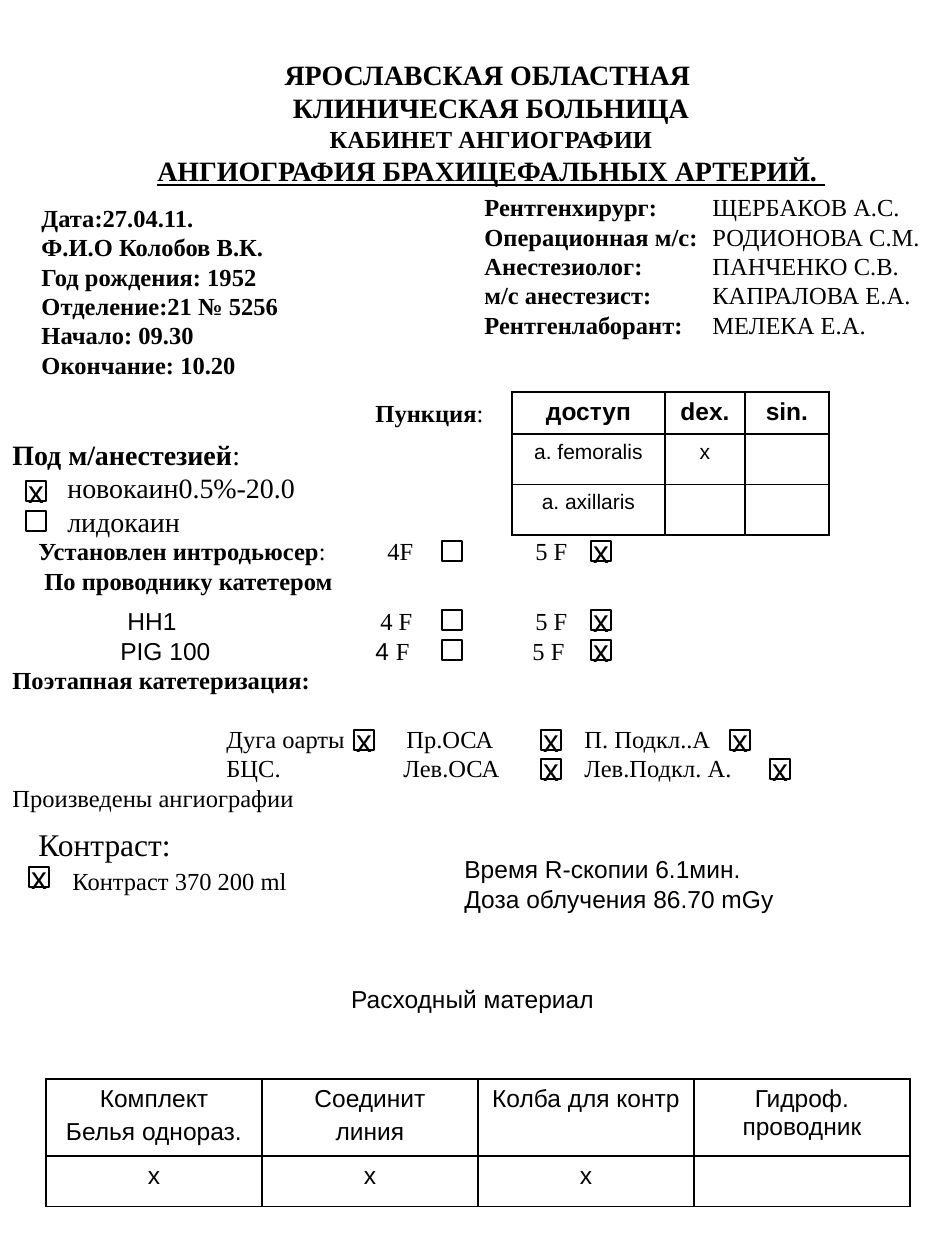
from lxml import etree
from pptx import Presentation
from pptx.dml.color import RGBColor
from pptx.enum.shapes import MSO_SHAPE
from pptx.enum.text import MSO_ANCHOR, MSO_AUTO_SIZE, PP_ALIGN
from pptx.oxml.ns import qn
from pptx.util import Emu, Pt

RECT = MSO_SHAPE.RECTANGLE
TOP, MIDDLE = MSO_ANCHOR.TOP, MSO_ANCHOR.MIDDLE
LEFT, CENTER = PP_ALIGN.LEFT, PP_ALIGN.CENTER
NO_FIT = MSO_AUTO_SIZE.NONE
SCALE = 914400 / 126
SERIF, SANS = "Times New Roman", "Arial"
COLORS = {"ink": "000000"}
BOX_SIDE = 20


def px(n):
    return Emu(round(n * SCALE))


def ink():
    return RGBColor.from_string(COLORS["ink"])


def format_run(r, size, font, bold=False, underline=False):
    r.font.size = Pt(size)
    r.font.name = font
    r.font.bold = bold
    r.font.underline = underline
    r.font.color.rgb = ink()


def set_layout(p, indent=0, tabs=(), before=0):
    pPr = p._p.get_or_add_pPr()
    if indent:
        pPr.set("marL", str(px(indent)))
        pPr.set("indent", "0")
    if before:
        p.space_before = Pt(before)
    if tabs:
        tab_list = etree.SubElement(pPr, qn("a:tabLst"))
        for x in tabs:
            etree.SubElement(tab_list, qn("a:tab"), pos=str(px(x)), algn="l")


def write_lines(tf, lines, size=14, font=SERIF, bold=False, align=LEFT):
    for i, (runs, layout) in enumerate(lines):
        p = tf.paragraphs[0] if i == 0 else tf.add_paragraph()
        set_layout(p, **layout)
        p.alignment = align
        for text, style in runs:
            r = p.add_run()
            r.text = text
            format_run(r, **{"size": size, "font": font, "bold": bold, **style})


def line(*runs, **layout):
    pairs = [(run, {}) if isinstance(run, str) else run for run in runs]
    return pairs, layout


def add_text(s, box, lines, anchor=TOP, wrap=True, **style):
    tf = s.shapes.add_textbox(*map(px, box)).text_frame
    tf.word_wrap = wrap
    tf.vertical_anchor = anchor
    write_lines(tf, lines, **style)


def add_title(s, box, lines):
    sp = s.shapes.title
    sp.left, sp.top, sp.width, sp.height = map(px, box)
    tf = sp.text_frame
    tf.auto_size = NO_FIT
    tf.word_wrap = False
    tf.vertical_anchor = TOP
    write_lines(tf, lines, size=16, bold=True, align=CENTER)


def add_checkbox(s, x, y, checked):
    sp = s.shapes.add_shape(RECT, px(x), px(y), px(BOX_SIDE), px(BOX_SIDE))
    sp.shadow.inherit = False
    sp.fill.background()
    sp.line.color.rgb = ink()
    sp.line.width = Pt(0.75)
    if checked:
        tf = sp.text_frame
        tf.word_wrap = False
        tf.vertical_anchor = MIDDLE
        write_lines(tf, [line("х")], size=18, font=SANS, align=CENTER)


def set_borders(cell):
    tcPr = cell._tc.get_or_add_tcPr()
    for i, side in enumerate(("a:lnL", "a:lnR", "a:lnT", "a:lnB")):
        ln = etree.Element(qn(side), w=str(Pt(1)))
        fill = etree.SubElement(ln, qn("a:solidFill"))
        etree.SubElement(fill, qn("a:srgbClr"), val=COLORS["ink"])
        tcPr.insert(i, ln)


def add_grid(s, left, top, widths, heights, rows, styles):
    box = map(px, (left, top, sum(widths), sum(heights)))
    table = s.shapes.add_table(len(heights), len(widths), *box).table
    for column, width in zip(table.columns, widths):
        column.width = px(width)
    for i, (row, texts) in enumerate(zip(table.rows, rows)):
        row.height = px(heights[i])
        for cell, text in zip(row.cells, texts):
            cell.fill.background()
            set_borders(cell)
            lines = [line(part, before=3 if n else 0)
                     for n, part in enumerate(text.split("\n"))]
            write_lines(cell.text_frame, lines if text else [],
                        font=SANS, align=CENTER, **styles[i])


def main():
    prs = Presentation()
    prs.slide_width, prs.slide_height = px(945), px(1260)
    s = prs.slides.add_slide(prs.slide_layouts[5])
    plain, strong = {"bold": False}, {"bold": True}
    sans = {"font": SANS}

    add_title(s, (66, 51, 850, 144), [
        line("ЯРОСЛАВСКАЯ ОБЛАСТНАЯ "),
        line("КЛИНИЧЕСКАЯ БОЛЬНИЦА"),
        line(("КАБИНЕТ АНГИОГРАФИИ", {"size": 14})),
        line(("АНГИОГРАФИЯ БРАХИЦЕФАЛЬНЫХ АРТЕРИЙ. ", {"underline": True})),
    ])
    patient = ("Дата:27.04.11.", "Ф.И.О Колобов В.К.", "Год рождения: 1952",
               "Отделение:21 № 5256", "Начало: 09.30", "Окончание: 10.20")
    add_text(s, (29, 158, 384, 266), [line(text) for text in patient],
             anchor=MIDDLE, wrap=False, bold=True)
    staff = (("Рентгенхирург:", "ЩЕРБАКОВ А.С."),
             ("Операционная м/с:", "РОДИОНОВА С.М."),
             ("Анестезиолог:", "ПАНЧЕНКО С.В."),
             ("м/с анестезист:", "КАПРАЛОВА Е.А."),
             ("Рентгенлаборант:", "МЕЛЕКА Е.А."))
    add_text(s, (472, 186, 473, 161),
             [line((role, strong), "\t" + name, tabs=(228,)) for role, name in staff])

    add_text(s, (363, 392, 134, 42), [line(("Пункция", strong), ":")], wrap=False)
    add_grid(s, 512, 392, (153, 80, 84), (42, 38, 38),
             (("доступ", "dex.", "sin."),
              ("a. femoralis", "х", ""),
              ("a. axillaris", "", "")),
             ({"bold": True}, {"size": 12}, {"size": 12}))

    add_text(s, (0, 431, 431, 114), [
        line(("Под м/анестезией", strong), ":"),
        line("новокаин0.5%-20.0", indent=55),
        line("лидокаин", indent=55),
    ], wrap=False, size=16)
    add_text(s, (26, 530, 796, 72), [
        line(("Установлен интродьюсер", strong), ":\t4F\t5 F", tabs=(349, 497)),
        line(("По проводнику катетером", strong), indent=6),
    ])
    add_text(s, (0, 600, 945, 220), [
        line(("\tHH1", sans), "\t4 F\t5 F", tabs=(115, 368, 523)),
        line(("\tРIG 100\t4 ", sans), "F\t5 F", tabs=(108, 363, 520)),
        line(("Поэтапная катетеризация:", strong)),
        line("\tДуга оарты\tПр.ОСА\tП. Подкл..А", tabs=(214, 394, 572), before=16.8),
        line("\tБЦС.\tЛев.ОСА\tЛев.Подкл. А.", tabs=(214, 391, 572)),
        line("Произведены ангиографии"),
    ])
    add_text(s, (26, 819, 400, 86), [
        line(("Контраст:", {"size": 18})),
        line("Контраст 370 200 ml", indent=34, before=2),
    ])
    add_text(s, (452, 848, 393, 72),
             [line("Время R-скопии 6.1мин."), line("Доза облучения 86.70 mGy")], **sans)
    add_text(s, (0, 978, 945, 42), [line("Расходный материал")], align=CENTER, **sans)

    checkboxes = (
        (26, 481, True), (26, 511, False),
        (442, 541, False), (591, 541, True),
        (442, 610, False), (591, 610, True),
        (442, 640, False), (591, 640, True),
        (354, 730, True), (541, 730, True), (730, 730, True),
        (541, 759, True), (770, 759, True),
        (29, 867, True),
    )
    for x, y, checked in checkboxes:
        add_checkbox(s, x, y, checked)

    add_grid(s, 46, 1079, (216,) * 4, (77, 42),
             (("Комплект\nБелья однораз.", "Соединит\nлиния",
               "Колба для контр", "Гидроф. проводник"),
              ("х", "х", "х", "")),
             (plain, plain))
    prs.save("out.pptx")


if __name__ == "__main__":
    main()
